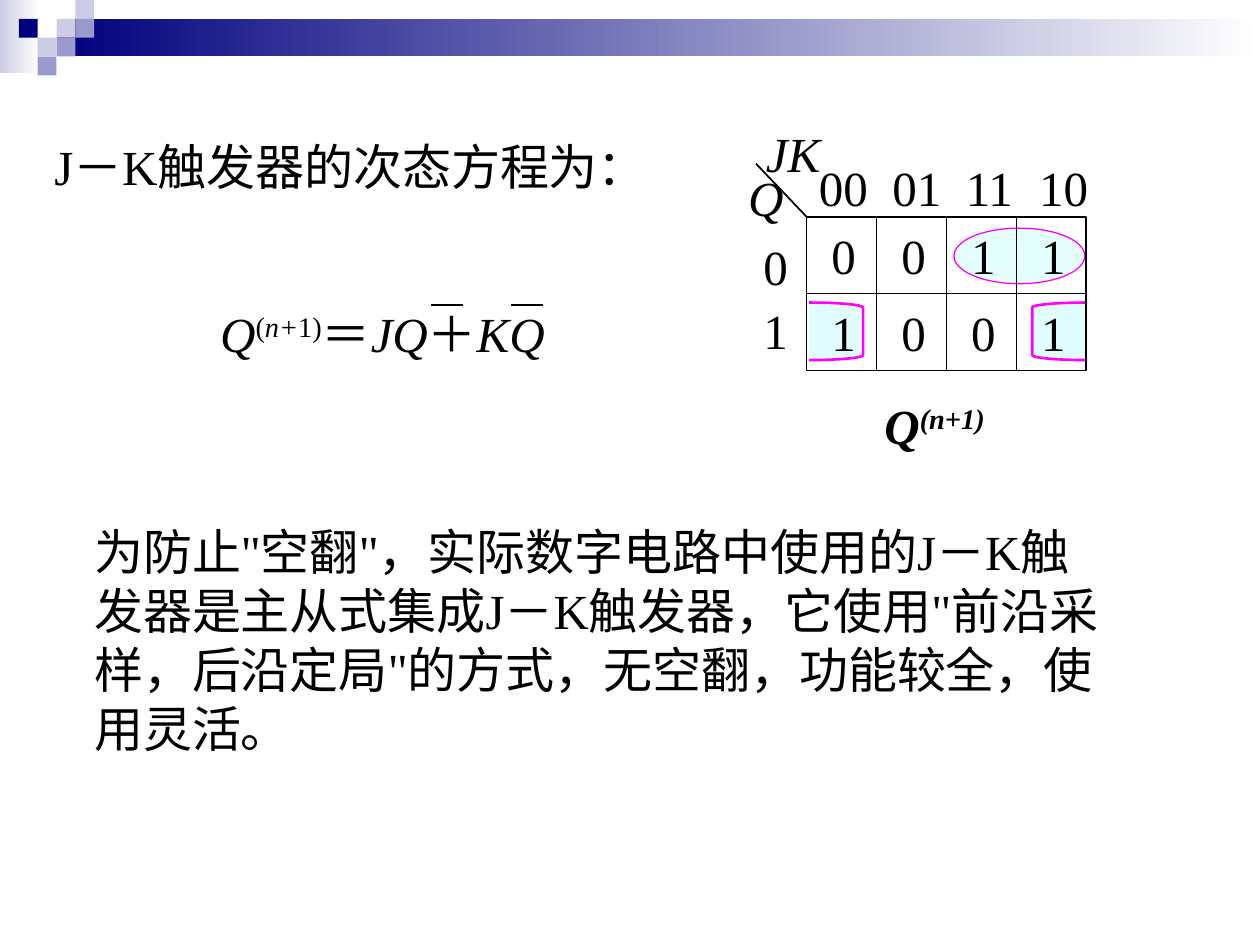
from math import cos, pi, sin

from lxml.etree import SubElement
from pptx import Presentation
from pptx.dml.color import RGBColor
from pptx.enum.shapes import MSO_CONNECTOR, MSO_SHAPE
from pptx.enum.text import MSO_ANCHOR, MSO_AUTO_SIZE, PP_ALIGN
from pptx.oxml.ns import qn
from pptx.util import Cm, Pt

BLACK = RGBColor(0, 0, 0)
WHITE = RGBColor(255, 255, 255)
NAVY = RGBColor(0x00, 0x00, 0x7D)
MID = RGBColor(0x99, 0x99, 0xCC)
PALE = RGBColor(0xCC, 0xCC, 0xE6)
PINK = RGBColor(0xFF, 0x00, 0xFF)
ICE = RGBColor(0xE1, 0xFD, 0xFF)
AQUA = RGBColor(0xCC, 0xFF, 0xFF)

HEAD = "J－K触发器的次态方程为："
BODY = ("为防止\"空翻\"，实际数字电路中使用的J－K触发器是主从式集成J－K触发器，"
        "它使用\"前沿采样，后沿定局\"的方式，无空翻，功能较全，使用灵活。")
# Text, italic, raised
NEXT = [("Q", True, False), ("(", False, True), ("n+", True, True),
        ("1)", False, True), ("＝", False, False), ("JQ", True, False),
        ("＋", False, False), ("KQ", True, False)]
LABEL = [("Q", True, False), ("(n+1)", True, True)]
CODES = ["00", "01", "11", "10"]
CELLS = ["0011", "1001"]

# Banner squares: column, row, colour
STEP = 0.38
TILES = [(3, 1, PALE), (4, 0, PALE), (4, 1, MID), (2, 2, PALE),
         (1, 1, NAVY), (3, 2, MID), (2, 3, MID)]
BANDS = [((0, 0, 0.79, 1.47), PALE), ((1.14, 0.38, 24.26, 0.76), NAVY)]

# Karnaugh map: left, top, width, height
LEFT, TOP, WIDE, HIGH = 16.26, 4.37, 5.64, 3.1
COL, ROW = WIDE / 4, HIGH / 2

prs = Presentation()
prs.slide_width, prs.slide_height = Cm(25.4), Cm(19.05)
slide = prs.slides.add_slide(prs.slide_layouts[5])
shapes = slide.shapes


def add_box(kind, x, y, w, h):
    box = shapes.add_shape(kind, Cm(x), Cm(y), Cm(w), Cm(h))
    box.shadow.inherit = False
    box.line.fill.background()
    return box


def style(shape, fill=None, line=BLACK, width=1):
    if fill is None:
        shape.fill.background()
    else:
        shape.fill.solid()
        shape.fill.fore_color.rgb = fill
    shape.line.color.rgb = line
    shape.line.width = Pt(width)


def add_line(x1, y1, x2, y2, width=0.75):
    line = shapes.add_connector(MSO_CONNECTOR.STRAIGHT,
                                Cm(x1), Cm(y1), Cm(x2), Cm(y2))
    line.line.color.rgb = BLACK
    line.line.width = Pt(width)
    SubElement(line._element.spPr, qn("a:effectLst"))
    return line


def set_font(para):
    para.alignment = PP_ALIGN.LEFT
    font = para.font
    font.name, font.size = "Times New Roman", Pt(28)
    font.color.rgb = BLACK
    return font


def add_text(text, x, y, w, h=1.45, wrap=False):
    frame = shapes.add_textbox(Cm(x), Cm(y), Cm(w), Cm(h)).text_frame
    frame.word_wrap = wrap
    para = frame.paragraphs[0]
    para.text = text
    set_font(para)
    return para


def add_runs(parts, x, y, w):
    para = add_text("", x, y, w)
    for text, slant, up in parts:
        run = para.add_run()
        run.text = text
        run.font.italic = slant
        if up:
            run._r.get_or_add_rPr().set("baseline", "30000")
    return para


def add_loop(edge, reach):
    """Half loop that opens at the map's edge; reach is signed."""
    mid, flat, bend, turns = 6.68, 0.48, 0.1, 8
    angles = [pi / 2 * i / turns for i in range(turns + 1)]
    upper = [(edge + reach * sin(a), -flat - bend * cos(a)) for a in angles]
    lower = [(x, -y) for x, y in reversed(upper)]
    points = [(Cm(x), Cm(mid + y)) for x, y in upper + lower]
    path = shapes.build_freeform(*points[0])
    path.add_line_segments(points[1:], close=False)
    loop = path.convert_to_shape()
    loop.shadow.inherit = False
    style(loop, ICE, PINK, 1.5)


# Banner
for place, tint in BANDS:
    band = add_box(MSO_SHAPE.RECTANGLE, *place)
    band.fill.gradient()
    band.fill.gradient_angle = 0
    for stop, color in zip(band.fill.gradient_stops, (tint, WHITE)):
        stop.color.rgb = color
for col, row, tint in TILES:
    tile = add_box(MSO_SHAPE.RECTANGLE, col * STEP, row * STEP, STEP, STEP)
    tile.fill.solid()
    tile.fill.fore_color.rgb = tint

# Heading, equation and body
title = shapes.title
title.left, title.top, title.width, title.height = (
    Cm(0.84), Cm(2.62), Cm(13.16), Cm(1.45))
frame = title.text_frame
frame.text = HEAD
frame.word_wrap = False
frame.auto_size = MSO_AUTO_SIZE.NONE
frame.vertical_anchor = MSO_ANCHOR.TOP
set_font(frame.paragraphs[0])

add_runs(NEXT, 4.19, 5.99, 8)
for x in (8.69, 10.31):
    add_line(x, 6.15, x + 0.64, 6.15, 1.5)
add_text(BODY, 1.65, 10.39, 21.03, 5, wrap=True)

# Karnaugh map groups and grid
add_loop(LEFT + 0.05, 1.09)
add_loop(LEFT + WIDE, -1.09)
oval = add_box(MSO_SHAPE.OVAL, 19.23, 4.6, 2.64, 1.12)
style(oval, AQUA, PINK, 0.75)
tone = oval._element.spPr.find(qn("a:solidFill"))[0]
SubElement(tone, qn("a:alpha")).set("val", "50000")

grid = add_box(MSO_SHAPE.RECTANGLE, LEFT, TOP, WIDE, HIGH)
style(grid)
add_line(LEFT, TOP, LEFT - 1.02, TOP - 1.07, 1)
across = add_line(LEFT, TOP + ROW, LEFT + WIDE, TOP + ROW)
across.begin_connect(grid, 1)
across.end_connect(grid, 3)
for i in (1, 2, 3):
    x = LEFT + i * COL
    down = add_line(x, TOP, x, TOP + HIGH)
    if i == 2:
        down.begin_connect(grid, 0)
        down.end_connect(grid, 2)

# Karnaugh map text
codes = add_text("\t".join(CODES), LEFT, 3.05, 6.2, wrap=True)
tabs = SubElement(codes._p.get_or_add_pPr(), qn("a:tabLst"))
codes._p.pPr.insert(0, tabs)
for i in (1, 2, 3):
    tab = SubElement(tabs, qn("a:tab"))
    tab.set("pos", str(Cm(1.48 * i)))
    tab.set("algn", "l")
add_text("01", 15.14, 4.52, 0.81, 2.87, wrap=True).line_spacing = 1.1
add_text("JK", 15.19, 2.36, 1.6).font.italic = True
add_text("Q", 14.83, 3.25, 1.22).font.italic = True
for r, row in enumerate(CELLS):
    for c, digit in enumerate(row):
        add_text(digit, LEFT + c * COL + 0.25, TOP + r * ROW + 0.05, 1)
add_runs(LABEL, 17.58, 7.85, 2.77).font.bold = True

prs.save("out.pptx")
